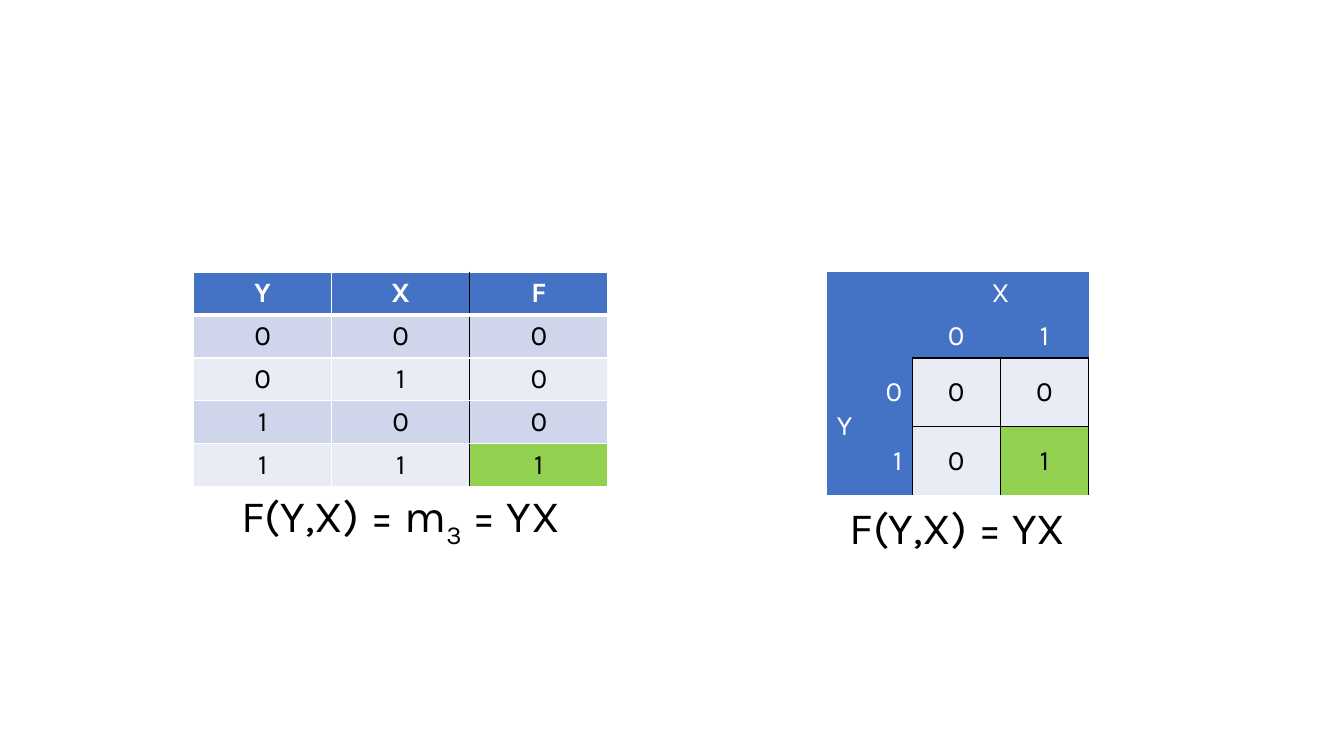
"""Build a slide with the truth table and the Karnaugh map of a two-input AND."""
import pptx
import pptx.dml.color
import pptx.enum.text
import pptx.oxml
import pptx.oxml.ns
import pptx.util

Inches = pptx.util.Inches
ALIGN = pptx.enum.text.PP_ALIGN
ANCHOR = pptx.enum.text.MSO_ANCHOR
COLORS = {"header": "4472C4", "dark_band": "CFD5EA", "light_band": "E9EBF5",
          "minterm": "92D050", "white": "FFFFFF", "black": "000000"}


def add_grid(page, left, top, widths, heights):
    """Add a plain table with the given column widths and row heights."""
    frame = page.shapes.add_table(len(heights), len(widths), Inches(left), Inches(top),
                                  Inches(sum(widths)), Inches(sum(heights)))
    grid = frame.table
    grid.first_row = grid.horz_banding = False
    for column, width in zip(grid.columns, widths):
        column.width = Inches(width)
    for row, height in zip(grid.rows, heights):
        row.height = Inches(height)
    return grid


def style_cell(cell, text, fill, color, borders, size=20, bold=False,
               align=ALIGN.CENTER, anchor=ANCHOR.TOP):
    """Write a cell; borders maps L, R, T, B to (color, points), and m_3 gives a subscript."""
    properties = cell._tc.get_or_add_tcPr()
    for side in "LRTB":
        line_color, points = borders.get(side, (None, 1))
        paint = "<a:noFill/>"
        if line_color:
            paint = f'<a:solidFill><a:srgbClr val="{COLORS[line_color]}"/></a:solidFill>'
        properties.append(pptx.oxml.parse_xml(
            f'<a:ln{side} {pptx.oxml.ns.nsdecls("a")} w="{points * 12700}">{paint}</a:ln{side}>'))
    if fill:
        cell.fill.solid()
        cell.fill.fore_color.rgb = pptx.dml.color.RGBColor.from_string(COLORS[fill])
    else:
        cell.fill.background()
    cell.vertical_anchor = anchor
    para = cell.text_frame.paragraphs[0]
    para.alignment = align
    para.font.name = "Karla"
    para.font.size = pptx.util.Pt(size)
    para.font.bold = bold
    para.font.color.rgb = pptx.dml.color.RGBColor.from_string(COLORS[color])
    before, mark, after = text.partition("_")
    parts = [before, after[:1], after[1:]] if mark else [text]
    for index, part in enumerate(parts):
        if part:
            span = para.add_run()
            span.text = part
            if index == 1:
                span._r.get_or_add_rPr().set("baseline", "-25000")


deck = pptx.Presentation()
deck.slide_width, deck.slide_height = Inches(13.33), Inches(7.5)
page = deck.slides.add_slide(deck.slide_layouts[6])

truth_rows = ["YXF", "000", "010", "100", "111"]
truth = add_grid(page, 1.92, 2.7, [1.37] * 3, [0.42] * 5 + [0.68])
for row, values in enumerate(truth_rows):
    for column, value in enumerate(values):
        borders = dict.fromkeys("LRTB", ("white", 1))
        if row < 2:
            borders["B" if row == 0 else "T"] = ("white", 3)
        if column:
            borders["R" if column == 1 else "L"] = ("black", 1)
        fill = "header" if row == 0 else "dark_band" if row % 2 else "light_band"
        if column == 2 and value == "1":
            fill = "minterm"
        style_cell(truth.cell(row, column), value, fill, "black" if row else "white",
                   borders, bold=row == 0)
truth.cell(5, 0).merge(truth.cell(5, 2))
style_cell(truth.cell(5, 0), "F(Y,X) = m_3 = YX", None, "black",
           dict.fromkeys("LRTB", ("white", 1)), size=32)

map_rows = [["", "", "X", ""], ["", "", "0", "1"], ["Y", "0", "0", "0"], ["", "1", "0", "1"]]
karnaugh = add_grid(page, 8.2, 2.7, [0.43, 0.42, 0.87, 0.88], [0.42] * 2 + [0.68] * 3)
karnaugh.cell(0, 2).merge(karnaugh.cell(0, 3))
karnaugh.cell(2, 0).merge(karnaugh.cell(3, 0))
karnaugh.cell(4, 0).merge(karnaugh.cell(4, 3))
for row, values in enumerate(map_rows):
    for column, value in enumerate(values):
        inside = row > 1 and column > 1
        sides = "LRTB" if inside else ""
        if row == 1 and column > 1:
            sides = "B"
        elif row > 1 and column == 1:
            sides = "R"
        fill = "header"
        if inside:
            fill = "minterm" if value == "1" else "light_band"
        align = ALIGN.CENTER
        if row > 1 and column < 2:
            align = ALIGN.RIGHT if column else ALIGN.LEFT
        style_cell(karnaugh.cell(row, column), value, fill, "black" if inside else "white",
                   dict.fromkeys(sides, ("black", 1)), align=align,
                   anchor=ANCHOR.MIDDLE if row > 1 else ANCHOR.BOTTOM)
style_cell(karnaugh.cell(4, 0), "F(Y,X) = YX", None, "black", {}, size=32,
           anchor=ANCHOR.MIDDLE)

deck.save("out.pptx")
